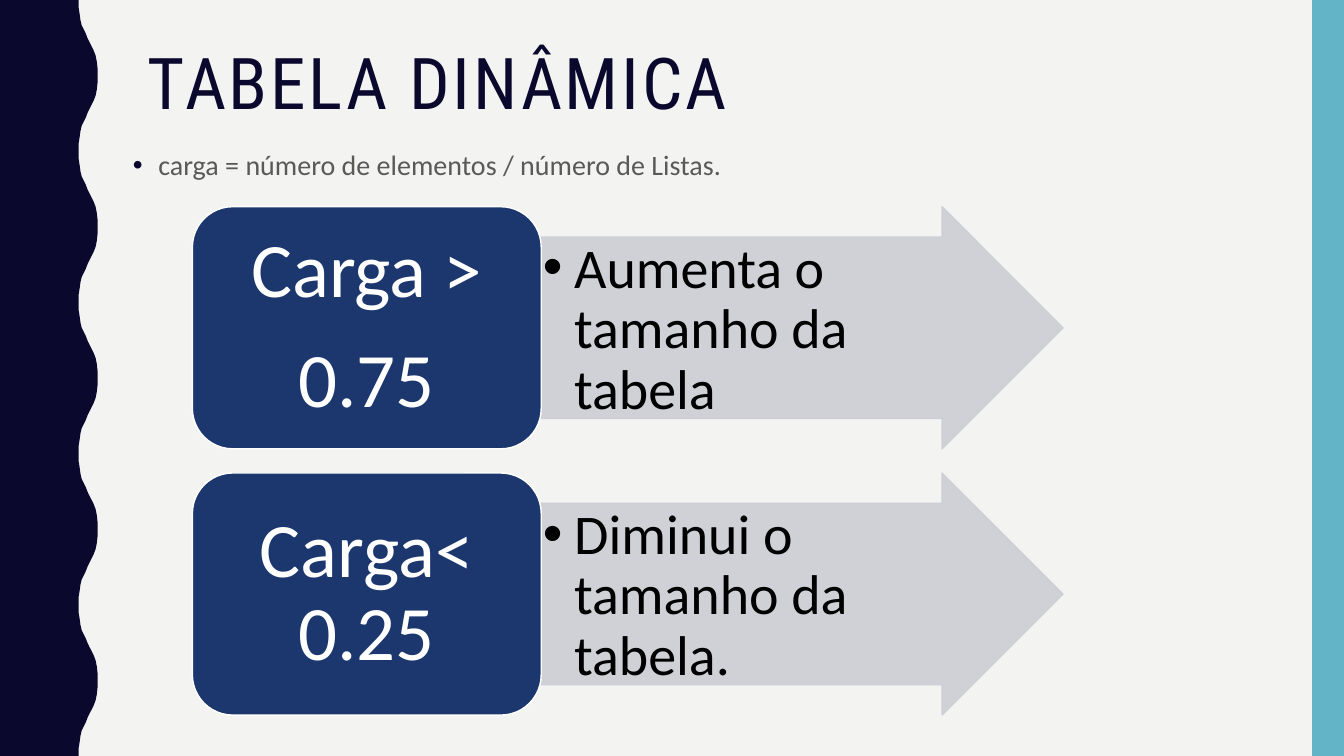
from lxml.etree import SubElement
from pptx import Presentation
from pptx.dml.color import RGBColor
from pptx.enum.shapes import MSO_SHAPE
from pptx.enum.text import MSO_ANCHOR, PP_ALIGN
from pptx.oxml.ns import qn
from pptx.util import Cm, Pt

NAVY, BLUE, SILVER, WHITE = "0B082E", "1B376E", "CDCED5", "FFFFFF"
WIDTH, HEIGHT = 33.87, 19.05
WAVE_PERIOD, WAVE_COUNT = 3.81, 5
HALF_WAVE = [(1.98, 0), (1.98, 0.18), (2.01, 0.36), (2.03, 0.51), (2.06, 0.64),
             (2.11, 0.74), (2.16, 0.84), (2.21, 0.97), (2.26, 1.07), (2.31, 1.17),
             (2.36, 1.27), (2.41, 1.4), (2.44, 1.55), (2.46, 1.73), (2.46, 1.91)]
RULES = [(["Carga >", "0.75"], "Aumenta o tamanho da tabela"),
         (["Carga< 0.25"], "Diminui o tamanho da tabela.")]
FIRST_TOP, ROW_STEP, ROW_HEIGHT = 5.21, 6.71, 6.1


def paint(color_format, color, alpha=None):
    color_format.rgb = RGBColor.from_string(color)
    if alpha:
        choice = color_format._xFill.find(qn("a:srgbClr"))
        SubElement(choice, qn("a:alpha"), val=str(alpha * 1000))


def style_shape(shape, color, outline=None, alpha=None):
    shape.shadow.inherit = False
    shape.fill.solid()
    paint(shape.fill.fore_color, color)
    if outline:
        shape.line.width = Pt(1)
        paint(shape.line.color, outline)
    else:
        shape.line.fill.background()
    if alpha:
        for color_node in shape._element.spPr.iter(qn("a:srgbClr")):
            SubElement(color_node, qn("a:alpha"), val=str(alpha * 1000))


def add_block(page, kind, left, top, width, height, color, **look):
    shape = page.shapes.add_shape(kind, Cm(left), Cm(top), Cm(width), Cm(height))
    style_shape(shape, color, **look)
    return shape


def add_wave(page):
    period = HALF_WAVE + [(x, WAVE_PERIOD - y) for x, y in HALF_WAVE[-2::-1]]
    edge = [(Cm(x), Cm(y + turn * WAVE_PERIOD))
            for turn in range(WAVE_COUNT) for x, y in period]
    builder = page.shapes.build_freeform(0, 0)
    builder.add_line_segments(edge + [(0, Cm(HEIGHT))], close=True)
    style_shape(builder.convert_to_shape(), NAVY)


def add_bullet(para, indent, color):
    properties = para._p.get_or_add_pPr()
    properties.set("marL", str(Cm(indent)))
    properties.set("indent", str(-Cm(indent)))
    holder = SubElement(properties, qn("a:buClr"))
    SubElement(holder, qn("a:srgbClr"), val=color)
    SubElement(properties, qn("a:buFont"), typeface="Arial")
    SubElement(properties, qn("a:buChar"), char="•")


def write(box, lines, size, color, font="Calibri", align=PP_ALIGN.LEFT,
          anchor=MSO_ANCHOR.TOP, insets=(0.25, 0.13), line_spacing=0.9,
          before=0, after=0, tracking=0, indent=0, bullet_color=None):
    frame = box.text_frame
    frame.word_wrap = True
    frame.vertical_anchor = anchor
    frame.margin_left = frame.margin_right = Cm(insets[0])
    frame.margin_top = frame.margin_bottom = Cm(insets[1])
    for number, text in enumerate(lines):
        para = frame.add_paragraph() if number else frame.paragraphs[0]
        para.alignment = align
        para.line_spacing = line_spacing
        para.space_before, para.space_after = Pt(before), Pt(after)
        if indent:
            add_bullet(para, indent, bullet_color or color)
        span = para.add_run()
        span.text = text
        span.font.name, span.font.size = font, Pt(size)
        paint(span.font.color, color)
        if tracking:
            span._r.get_or_add_rPr().set("spc", str(tracking * 100))


def add_text(page, left, top, width, height, text, **look):
    box = page.shapes.add_textbox(Cm(left), Cm(top), Cm(width), Cm(height))
    write(box, [text], **look)


def add_rule(page, top, condition, action):
    arrow = add_block(page, MSO_SHAPE.RIGHT_ARROW, 13.61, top, 13.18, ROW_HEIGHT,
                      SILVER, outline=SILVER, alpha=90)
    arrow.adjustments[0], arrow.adjustments[1] = 0.75, 0.5
    write(arrow, [action], size=40, color="000000", insets=(0.07, 0.07),
          after=6, indent=0.79)
    label = add_block(page, MSO_SHAPE.ROUNDED_RECTANGLE, 4.85, top, 8.79, ROW_HEIGHT,
                      BLUE, outline=WHITE)
    write(label, condition, size=55, color=WHITE, align=PP_ALIGN.CENTER,
          anchor=MSO_ANCHOR.MIDDLE, insets=(0.58, 0.28), after=19)


def main():
    deck = Presentation()
    deck.slide_width, deck.slide_height = Cm(WIDTH), Cm(HEIGHT)
    page = deck.slides.add_slide(deck.slide_layouts[6])
    page.background.fill.solid()
    paint(page.background.fill.fore_color, "F3F3F2")
    add_wave(page)
    add_block(page, MSO_SHAPE.RECTANGLE, 33.07, 0, 0.8, HEIGHT, "62B4C6")
    add_text(page, 3.48, 1.07, 28.27, 4.14, "TABELA DINÂMICA", size=51, color=NAVY,
             font="Roboto Condensed", tracking=2)
    add_text(page, 3.1, 3.51, 28.27, 1.7,
             "carga = número de elementos / número de Listas.", size=20,
             color="595959", line_spacing=1.1, before=7, indent=0.64,
             bullet_color=NAVY)
    for row, (condition, action) in enumerate(RULES):
        add_rule(page, FIRST_TOP + row * ROW_STEP, condition, action)
    deck.save("out.pptx")


if __name__ == "__main__":
    main()
